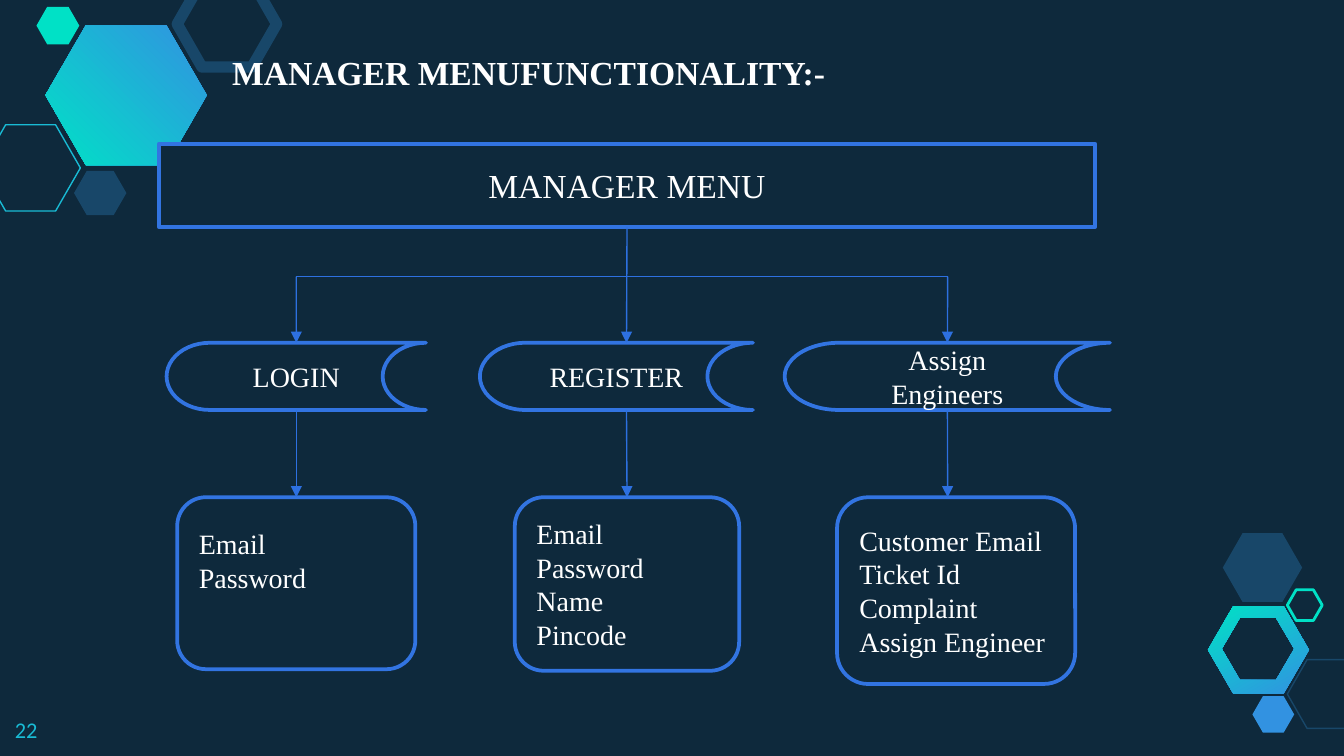
from typing import NamedTuple, Optional

from lxml import etree
from pptx import Presentation
from pptx import util as u
from pptx.dml.color import RGBColor
from pptx.enum import shapes, text
from pptx.oxml import ns

COLORS = {
    "background": "0E293C",
    "outline": "3274E1",
    "arrow": "2D70E0",
    "white": "FFFFFF",
    "navy": "184769",
    "cyan": "19BBD5",
    "mint": "00E1C6",
    "blue": "3292E1",
}
SERIF = "Times New Roman"
KIND = shapes.MSO_SHAPE
TOP, BOTTOM = 0, 2


class Box(NamedTuple):
    left: float
    top: float
    width: float
    height: float

    def lengths(self) -> list:
        return [u.Cm(value) for value in self]


class Hexagon(NamedTuple):
    box: Box
    color: str
    line_width: Optional[float] = None


class Node(NamedTuple):
    box: Box
    kind: shapes.MSO_SHAPE
    lines: tuple
    size: float = 15
    align: text.PP_ALIGN = text.PP_ALIGN.CENTER
    bottom_inset: float = 0.13


class Branch(NamedTuple):
    action: Node
    details: Node
    line_x: float
    action_joined: bool = True
    details_joined: bool = True


class Arrow(NamedTuple):
    start: tuple
    end: tuple
    source: Optional[object] = None
    target: Optional[object] = None
    head: bool = True


def rgb(name: str) -> RGBColor:
    return RGBColor.from_string(COLORS[name])


def draw_hexagon(slide, hexagon: Hexagon) -> None:
    shape = slide.shapes.add_shape(KIND.HEXAGON, *hexagon.box.lengths())
    shape.shadow.inherit = False
    shape.adjustments[0] = 0.287
    if hexagon.line_width is None:
        shape.fill.solid()
        shape.fill.fore_color.rgb = rgb(hexagon.color)
        shape.line.fill.background()
    else:
        shape.fill.background()
        shape.line.color.rgb = rgb(hexagon.color)
        shape.line.width = u.Pt(hexagon.line_width)


def hexagon_points(box: Box) -> list:
    left, top, width, height = box
    quarter, middle, bottom = width / 4, top + height / 2, top + height
    points = [
        (left, middle), (left + quarter, top), (left + 3 * quarter, top),
        (left + width, middle), (left + 3 * quarter, bottom), (left + quarter, bottom),
    ]
    return [(u.Cm(x), u.Cm(y)) for x, y in points]


def draw_gradient_hexagon(slide, outlines: list, angle: float) -> None:
    first, *others = [hexagon_points(box) for box in outlines]
    builder = slide.shapes.build_freeform(*first[0])
    builder.add_line_segments(first[1:], close=True)
    for points in others:
        builder.move_to(*points[0])
        builder.add_line_segments(points[:0:-1], close=True)
    shape = builder.convert_to_shape()
    shape.shadow.inherit = False
    shape.line.fill.background()
    shape.fill.gradient()
    shape.fill.gradient_angle = angle
    for stop, name in zip(shape.fill.gradient_stops, ("blue", "mint")):
        stop.color.rgb = rgb(name)


def draw_node(slide, node: Node):
    shape = slide.shapes.add_shape(node.kind, *node.box.lengths())
    shape.shadow.inherit = False
    shape.fill.solid()
    shape.fill.fore_color.rgb = rgb("background")
    shape.line.color.rgb = rgb("outline")
    shape.line.width = u.Pt(2)
    frame = shape.text_frame
    frame.word_wrap = True
    frame.vertical_anchor = text.MSO_ANCHOR.MIDDLE
    frame.margin_bottom = u.Cm(node.bottom_inset)
    write(frame, node.lines, node.size, SERIF, "white", node.align)
    return shape


def write(frame, lines: tuple, size: float, font: str, color: str,
          align: text.PP_ALIGN = text.PP_ALIGN.LEFT, bold: bool = False) -> None:
    frame.text = "\n".join(lines)
    for paragraph in frame.paragraphs:
        paragraph.alignment = align
        paragraph.font.name = font
        paragraph.font.size = u.Pt(size)
        paragraph.font.bold = bold
        paragraph.font.color.rgb = rgb(color)


def add_text_frame(slide, box: Box, margin: float):
    frame = slide.shapes.add_textbox(*box.lengths()).text_frame
    frame.word_wrap = True
    frame.margin_top = frame.margin_bottom = u.Cm(margin)
    return frame


def draw_arrow(slide, arrow: Arrow) -> None:
    ends = [u.Cm(value) for value in arrow.start + arrow.end]
    connector = slide.shapes.add_connector(shapes.MSO_CONNECTOR.STRAIGHT, *ends)
    connector.line.color.rgb = rgb("arrow")
    connector.line.width = u.Pt(0.75)
    if arrow.source is not None:
        connector.begin_connect(arrow.source, BOTTOM)
    if arrow.target is not None:
        connector.end_connect(arrow.target, TOP)
    if arrow.head:
        etree.SubElement(connector.line._get_or_add_ln(), ns.qn("a:tailEnd"), type="triangle")
    etree.SubElement(connector._element.spPr, ns.qn("a:effectLst"))


def action(left: float, width: float, label: str) -> Node:
    return Node(Box(left, 6.48, width, 1.27), KIND.FLOWCHART_STORED_DATA, (label,))


def details(left: float, width: float, height: float, *lines: str, bottom_inset: float = 0.13) -> Node:
    return Node(Box(left, 9.4, width, height), KIND.ROUNDED_RECTANGLE, lines,
                align=text.PP_ALIGN.LEFT, bottom_inset=bottom_inset)


HEXAGONS = [
    Hexagon(Box(-0.36, 2.36, 1.88, 1.63), "cyan", 0.75),
    Hexagon(Box(1.4, 3.23, 0.99, 0.84), "navy"),
    Hexagon(Box(3.35, -0.36, 1.88, 1.63), "navy", 6),
    Hexagon(Box(0.69, 0.13, 0.81, 0.71), "mint"),
    Hexagon(Box(24.33, 12.47, 1.5, 1.3), "navy", 0.75),
    Hexagon(Box(23.67, 13.16, 0.79, 0.69), "blue"),
    Hexagon(Box(23.11, 10.08, 1.5, 1.3), "navy"),
    Hexagon(Box(24.33, 11.15, 0.66, 0.58), "mint", 1.5),
]
MENU = Node(Box(3, 2.72, 17.7, 1.57), KIND.RECTANGLE, ("MANAGER MENU",), 18)
BRANCHES = [
    Branch(action(3.15, 4.9, "LOGIN"),
           details(3.35, 4.5, 3.25, "Email", "Password", bottom_inset=1), 5.6),
    Branch(action(9.07, 5.16, "REGISTER"),
           details(9.73, 4.24, 3.28, "Email", "Password", "Name", "Pincode"),
           11.84, action_joined=False),
    Branch(action(14.83, 6.15, "Assign Engineers"),
           details(15.82, 4.5, 3.53, "Customer Email", "Ticket Id", "Complaint", "Assign Engineer"),
           17.91, details_joined=False),
]
BAR_Y = 5.23


def main() -> None:
    presentation = Presentation()
    presentation.slide_width, presentation.slide_height = u.Cm(25.4), u.Cm(14.29)
    slide = presentation.slides.add_slide(presentation.slide_layouts[6])
    slide.background.fill.solid()
    slide.background.fill.fore_color.rgb = rgb("background")

    draw_gradient_hexagon(slide, [Box(22.83, 11.46, 1.91, 1.65), Box(23.09, 11.68, 1.37, 1.17)], 120)
    draw_gradient_hexagon(slide, [Box(0.86, 0.48, 3.05, 2.64)], 225)
    for hexagon in HEXAGONS:
        draw_hexagon(slide, hexagon)
    write(add_text_frame(slide, Box(0.03, 13.28, 1.52, 0.99), 0.25), ("22",), 12, "Calibri", "cyan")

    menu = draw_node(slide, MENU)
    left_x, middle_x, right_x = [branch.line_x for branch in BRANCHES]
    draw_arrow(slide, Arrow((left_x, BAR_Y), (right_x, BAR_Y), head=False))
    for branch in BRANCHES:
        x = branch.line_x
        step, card = draw_node(slide, branch.action), draw_node(slide, branch.details)
        is_middle = x == middle_x
        draw_arrow(slide, Arrow((x, BAR_Y), (x, 6.48), menu if is_middle else None,
                                step if branch.action_joined else None))
        draw_arrow(slide, Arrow((x, 7.75), (x, 9.4), step if branch.action_joined else None,
                                card if branch.details_joined else None))

    title = add_text_frame(slide, Box(4.14, 0.86, 14.4, 1.32), 0.13)
    write(title, ("MANAGER MENUFUNCTIONALITY:-",), 18, SERIF, "white", bold=True)
    presentation.save("out.pptx")


if __name__ == "__main__":
    main()
